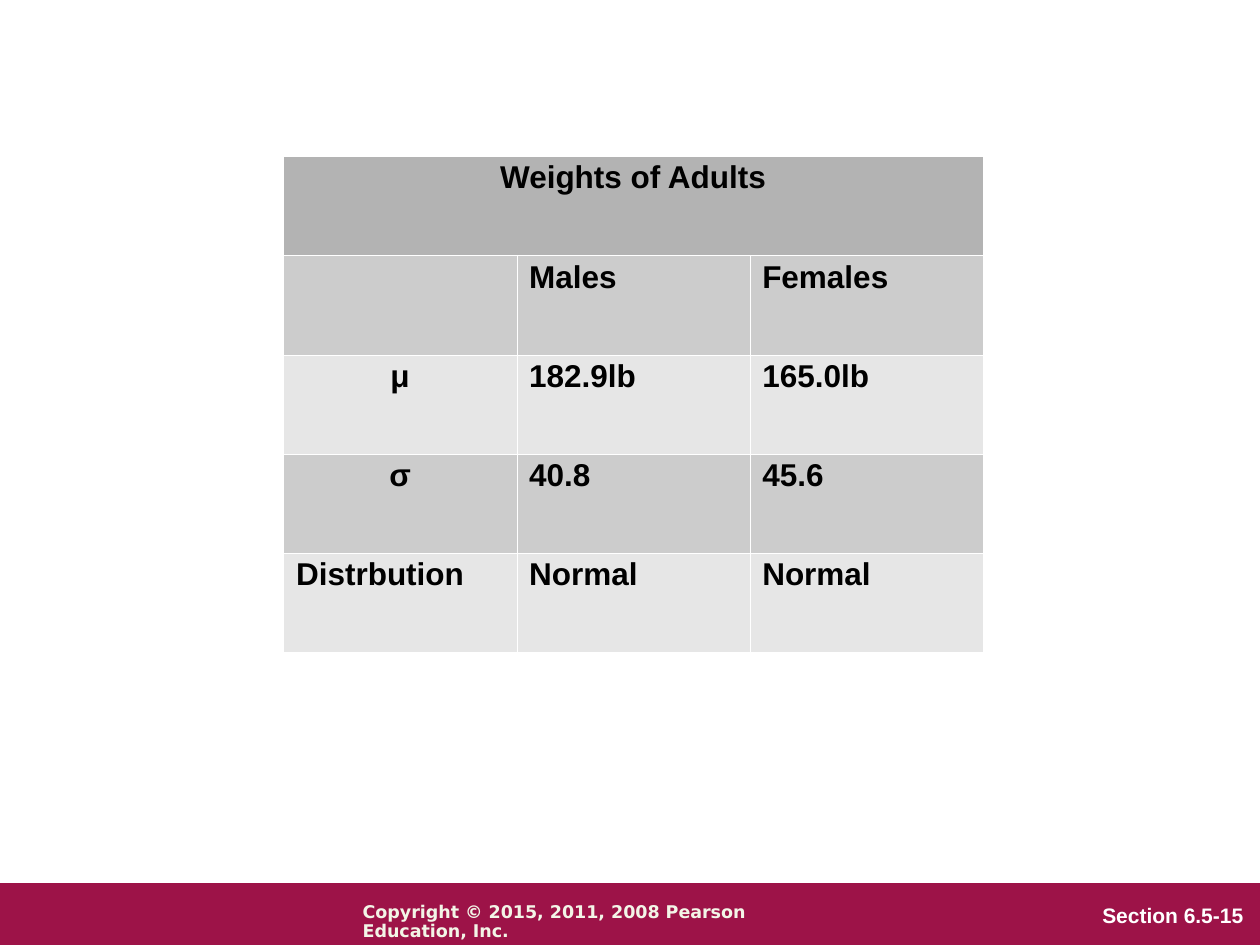
from pptx import Presentation
from pptx.dml.color import RGBColor
from pptx.enum.shapes import MSO_SHAPE
from pptx.enum.text import PP_ALIGN
from pptx.oxml import parse_xml
from pptx.oxml.ns import nsdecls
from pptx.util import Inches, Pt

WHITE = RGBColor(0xFF, 0xFF, 0xFF)
BLACK = RGBColor(0x00, 0x00, 0x00)
CRIMSON = RGBColor(0x9D, 0x13, 0x48)
CREAM = RGBColor(0xF3, 0xF5, 0xE7)
HEADER_GREY = RGBColor(0xB3, 0xB3, 0xB3)
DARK_GREY = RGBColor(0xCC, 0xCC, 0xCC)
LIGHT_GREY = RGBColor(0xE6, 0xE6, 0xE6)

WEIGHTS = [
    ["Weights of Adults", "", ""],
    ["", "Males", "Females"],
    ["μ", "182.9lb", "165.0lb"],
    ["σ", "40.8", "45.6"],
    ["Distrbution", "Normal", "Normal"],
]
CENTRED = {"Weights of Adults", "μ", "σ"}
BORDER_WIDTH = Pt(0.06)


def write_bold(paragraph, text, size, font_name, color, line_spacing):
    paragraph.line_spacing = line_spacing
    run = paragraph.add_run()
    run.text = text
    run.font.size = Pt(size)
    run.font.name = font_name
    run.font.bold = True
    run.font.color.rgb = color


def add_borders(cell):
    """Put a white hairline on all four sides; the fill must be set afterwards."""
    properties = cell._tc.get_or_add_tcPr()
    for side in ("lnL", "lnR", "lnT", "lnB"):
        properties.append(parse_xml(
            f'<a:{side} {nsdecls("a")} w="{BORDER_WIDTH}"><a:solidFill>'
            f'<a:srgbClr val="{WHITE}"/></a:solidFill></a:{side}>'))


def add_weights_table(slide, left, top, width, height):
    table = slide.shapes.add_table(
        len(WEIGHTS), len(WEIGHTS[0]), left, top, width, height).table
    for row_index, row in enumerate(WEIGHTS):
        if row_index == 0:
            shade = HEADER_GREY
        else:
            shade = DARK_GREY if row_index % 2 else LIGHT_GREY
        for column_index, text in enumerate(row):
            cell = table.cell(row_index, column_index)
            add_borders(cell)
            cell.fill.solid()
            cell.fill.fore_color.rgb = shade
            if text:
                paragraph = cell.text_frame.paragraphs[0]
                if text in CENTRED:
                    paragraph.alignment = PP_ALIGN.CENTER
                write_bold(paragraph, text, 18, "Arial", BLACK, 0.93)
    table.cell(0, 0).merge(table.cell(0, len(WEIGHTS[0]) - 1))


def add_footer_text(slide, left, top, width, height, text, size, font_name, color):
    frame = slide.shapes.add_textbox(left, top, width, height).text_frame
    frame.word_wrap = True
    write_bold(frame.paragraphs[0], text, size, font_name, color, 0.9)


def add_footer(slide, left, top, width, height):
    band = slide.shapes.add_shape(MSO_SHAPE.RECTANGLE, left, top, width, height)
    band.shadow.inherit = False
    band.fill.solid()
    band.fill.fore_color.rgb = CRIMSON
    band.line.fill.background()
    add_footer_text(slide, left + Inches(8.65), top + Inches(0.13),
                    Inches(1.33), Inches(0.26),
                    "Section 6.5-15", 12, "Arial", WHITE)
    add_footer_text(slide, left + Inches(2.78), top + Inches(0.11),
                    Inches(3.82), Inches(0.25),
                    "Copyright © 2015, 2011, 2008 Pearson Education, Inc.",
                    10, "DejaVu Sans", CREAM)


def main():
    presentation = Presentation()
    presentation.slide_width = Inches(10)
    presentation.slide_height = Inches(7.5)
    slide = presentation.slides.add_slide(presentation.slide_layouts[6])
    add_footer(slide, Inches(0), Inches(7.01), Inches(10), Inches(0.5))
    add_weights_table(slide, Inches(2.25), Inches(1.24), Inches(5.55), Inches(3.94))
    presentation.save("out.pptx")


if __name__ == "__main__":
    main()
